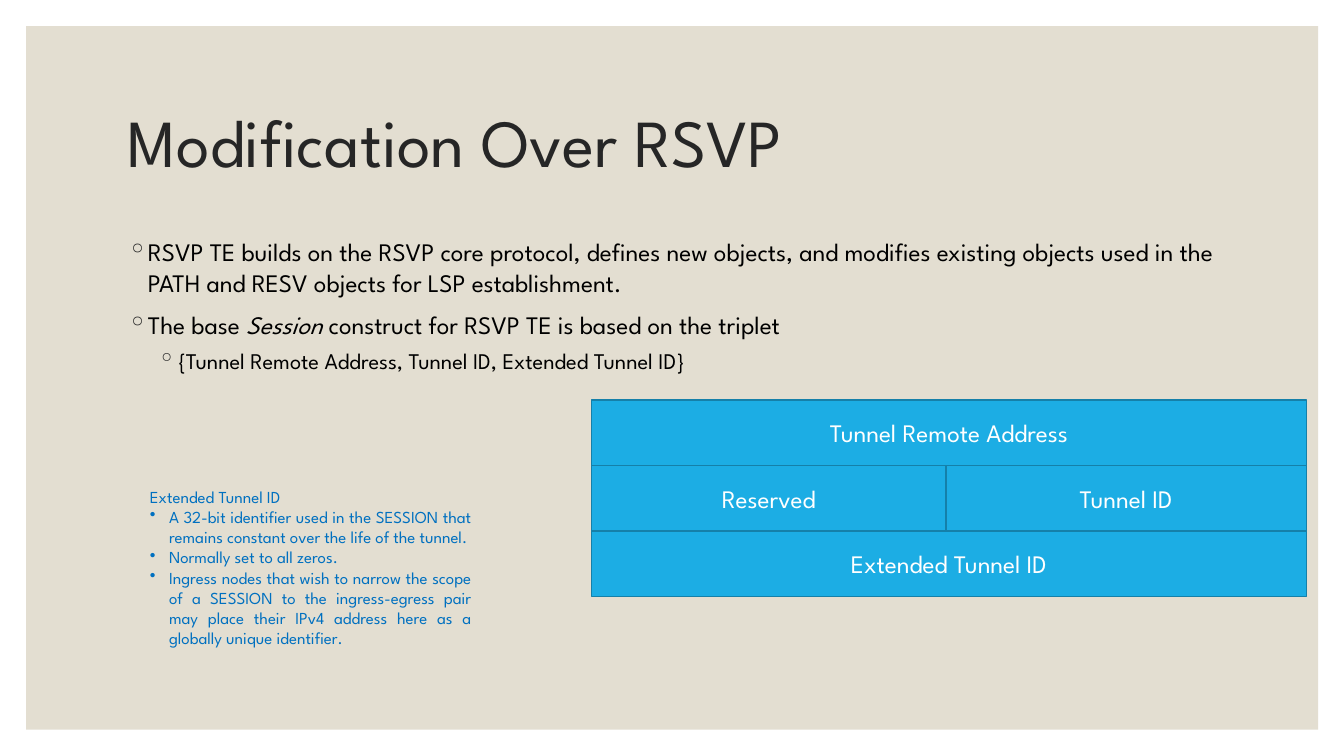
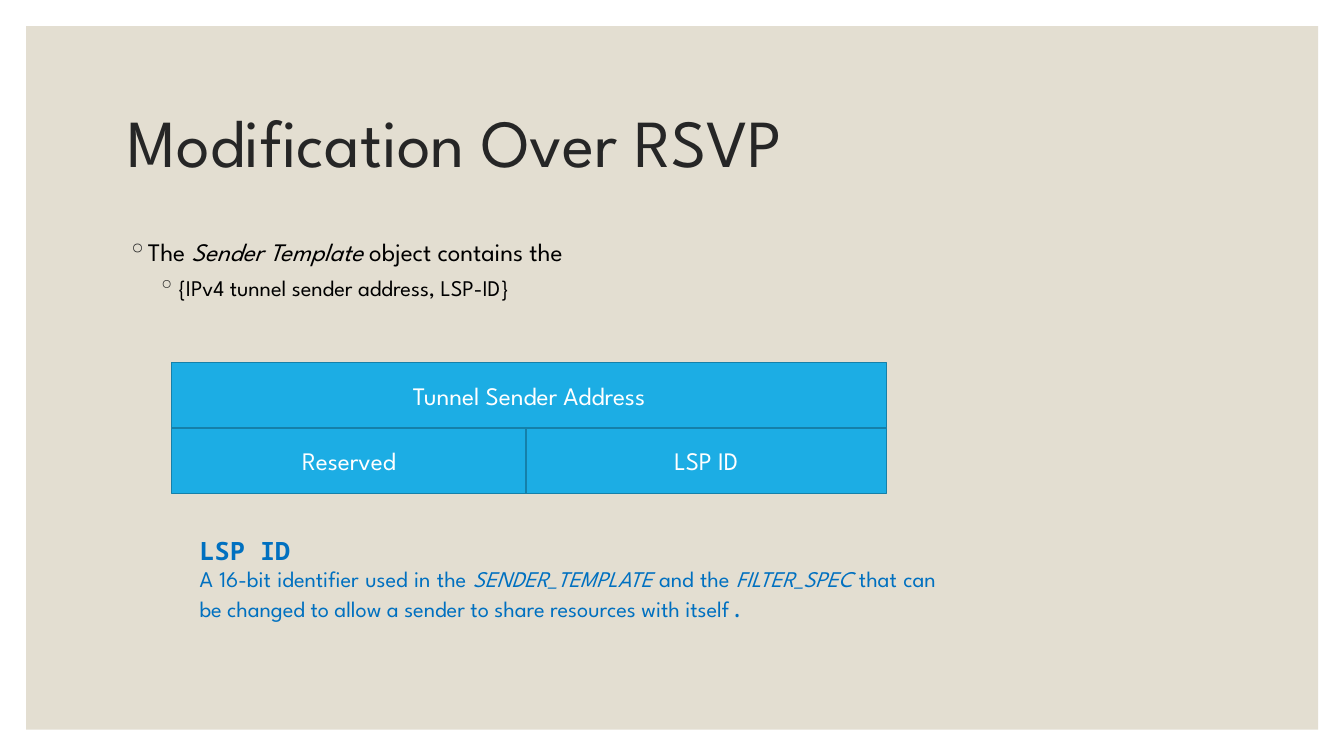
from lxml import etree
from pptx import Presentation
from pptx.dml.color import RGBColor
from pptx.enum.shapes import MSO_SHAPE
from pptx.enum.text import MSO_ANCHOR, PP_ALIGN
from pptx.oxml.ns import qn
from pptx.util import Cm, Pt

RECT = MSO_SHAPE.RECTANGLE
MIDDLE = MSO_ANCHOR.MIDDLE
CENTER, JUSTIFY = PP_ALIGN.CENTER, PP_ALIGN.JUSTIFY

FONT, MONO = "League Spartan", "Noto Sans Mono"
SAND, INK, BLACK, WHITE = "E3DED1", "262626", "000000", "FFFFFF"
SKY, SKY_EDGE, NOTE = "1CADE4", "1580A9", "0070C0"

BAND_BOX = (0.66, 0.66, 32.56, 17.73)
TITLE_BOX = (2.97, 1.78, 27.94, 3.81)
BODY_BOX = (2.97, 5.84, 27.94, 10.92)
PACKET_WIDTH, ROW_HEIGHT, SPLIT = 18.01, 1.65, 8.93


def color(value):
    """Turn a hex string into a colour."""
    return RGBColor.from_string(value)


def add_rect(shapes, box, fill, line=None):
    """Draw a flat rectangle, outlined if a line colour is given."""
    sp = shapes.add_shape(RECT, *map(Cm, box))
    sp.shadow.inherit = False
    sp.fill.solid()
    sp.fill.fore_color.rgb = color(fill)
    if line:
        sp.line.color.rgb = color(line)
        sp.line.width = Pt(1)
    else:
        sp.line.fill.background()
    return sp


def add_textbox(s, box):
    """Add a wrapping text box and return its text frame."""
    tf = s.shapes.add_textbox(*map(Cm, box)).text_frame
    tf.word_wrap = True
    return tf


def add_run(p, text, size, rgb, font=FONT, italic=False, bold=False):
    """Append one formatted run to a paragraph."""
    r = p.add_run()
    r.text = text
    r.font.name = font
    r.font.size = Pt(size)
    r.font.color.rgb = color(rgb)
    r.font.italic = italic
    r.font.bold = bold


def add_paragraph(tf, align=None, before=0):
    """Return the unused first paragraph or a new one."""
    first = tf.paragraphs[0]
    p = tf.add_paragraph() if first.runs else first
    p.alignment = align
    p.space_before = Pt(before)
    return p


def set_bullet(p, char, rgb, indent, hang):
    """Give a paragraph a hanging bullet."""
    pPr = p._p.get_or_add_pPr()
    pPr.set("marL", str(Cm(indent)))
    pPr.set("indent", str(-Cm(hang)))
    clr = etree.SubElement(pPr, qn("a:buClr"))
    etree.SubElement(clr, qn("a:srgbClr"), val=rgb)
    etree.SubElement(pPr, qn("a:buChar"), char=char)


def add_base(prs, title):
    """Add a slide with the sand panel and its title."""
    s = prs.slides.add_slide(prs.slide_layouts[6])
    add_rect(s.shapes, BAND_BOX, SAND)
    tf = add_textbox(s, TITLE_BOX)
    tf.vertical_anchor = MIDDLE
    p = add_paragraph(tf)
    p.line_spacing = 0.9
    add_run(p, title, 48, INK)
    return s


def add_body(s, box, items):
    """Fill the body with (level, runs) items, every second run being italic."""
    tf = add_textbox(s, box)
    for level, runs in items:
        size, before, indent = ((18, 9, 0.51), (16, 5, 1.27))[level]
        p = add_paragraph(tf, before=before)
        p.level = level
        set_bullet(p, "◦", INK, indent, 0.51)
        for i, text in enumerate(runs):
            add_run(p, text, size, BLACK, italic=i % 2 == 1)


def add_packet(s, left, top, rows):
    """Draw the object layout, with rows of one full or two split fields."""
    shapes = s.shapes.add_group_shape().shapes
    for i, fields in enumerate(rows):
        edges = (0, PACKET_WIDTH) if len(fields) == 1 else (0, SPLIT, PACKET_WIDTH)
        for label, x0, x1 in zip(fields, edges, edges[1:]):
            box = (left + x0, top + i * ROW_HEIGHT, x1 - x0, ROW_HEIGHT)
            tf = add_rect(shapes, box, SKY, SKY_EDGE).text_frame
            tf.vertical_anchor = MIDDLE
            add_run(add_paragraph(tf, CENTER), label, 18, WHITE)


def add_bullet_note(s, box, heading, items):
    """Add a small note with a heading and justified bullets."""
    tf = add_textbox(s, box)
    add_run(add_paragraph(tf), heading, 12, NOTE)
    for text in items:
        p = add_paragraph(tf, JUSTIFY)
        set_bullet(p, "•", NOTE, 0.48, 0.48)
        add_run(p, text, 12, NOTE)


def add_definition(s, box, term, runs):
    """Add a bold term and its definition, every second run being italic."""
    tf = add_textbox(s, box)
    add_run(add_paragraph(tf), term, 18, NOTE, MONO, bold=True)
    p = add_paragraph(tf, JUSTIFY)
    for i, text in enumerate(runs):
        add_run(p, text, 16, NOTE, italic=i % 2 == 1)
    add_run(p, ".", 18, NOTE, MONO)


def session_slide(prs):
    """Build the slide on the session object."""
    s = add_base(prs, "Modification Over RSVP")
    add_body(s, BODY_BOX, [
        (0, ["RSVP TE builds on the RSVP core protocol, defines new objects, and modifies "
             "existing objects used in the PATH and RESV objects for LSP establishment."]),
        (0, ["The base ", "Session", " construct for RSVP TE is based on the triplet"]),
        (1, ["{Tunnel Remote Address, Tunnel ID, Extended Tunnel ID}"]),
    ])
    add_packet(s, 14.91, 10.08, [
        ["Tunnel Remote Address"], ["Reserved", "Tunnel ID"], ["Extended Tunnel ID"]])
    add_bullet_note(s, (3.53, 12.14, 8.61, 5.38), "Extended Tunnel ID", [
        "A 32-bit identifier used in the SESSION that remains constant over the life "
        "of the tunnel.",
        "Normally set to all zeros.",
        "Ingress nodes that wish to narrow the scope of a SESSION to the ingress-egress "
        "pair may place their IPv4 address here as a globally unique identifier.",
    ])


def sender_slide(prs):
    """Build the slide on the sender template object."""
    s = add_base(prs, "Modification Over RSVP")
    add_body(s, BODY_BOX, [
        (0, ["The ", "Sender Template ", "object contains the"]),
        (1, ["{IPv4 tunnel sender address, LSP-ID}"]),
    ])
    add_packet(s, 4.33, 9.14, [["Tunnel Sender Address"], ["Reserved", "LSP ID"]])
    add_definition(s, (4.78, 13.36, 19.05, 3.18), "LSP ID", [
        "A 16-bit identifier used in the ", "SENDER_TEMPLATE", " and the ", "FILTER_SPEC",
        " that can be changed to allow a sender to share resources with itself"])


def main():
    """Build and save the presentation."""
    prs = Presentation()
    prs.slide_width, prs.slide_height = Cm(33.87), Cm(19.05)
    session_slide(prs)
    sender_slide(prs)
    prs.save("out.pptx")


if __name__ == "__main__":
    main()
